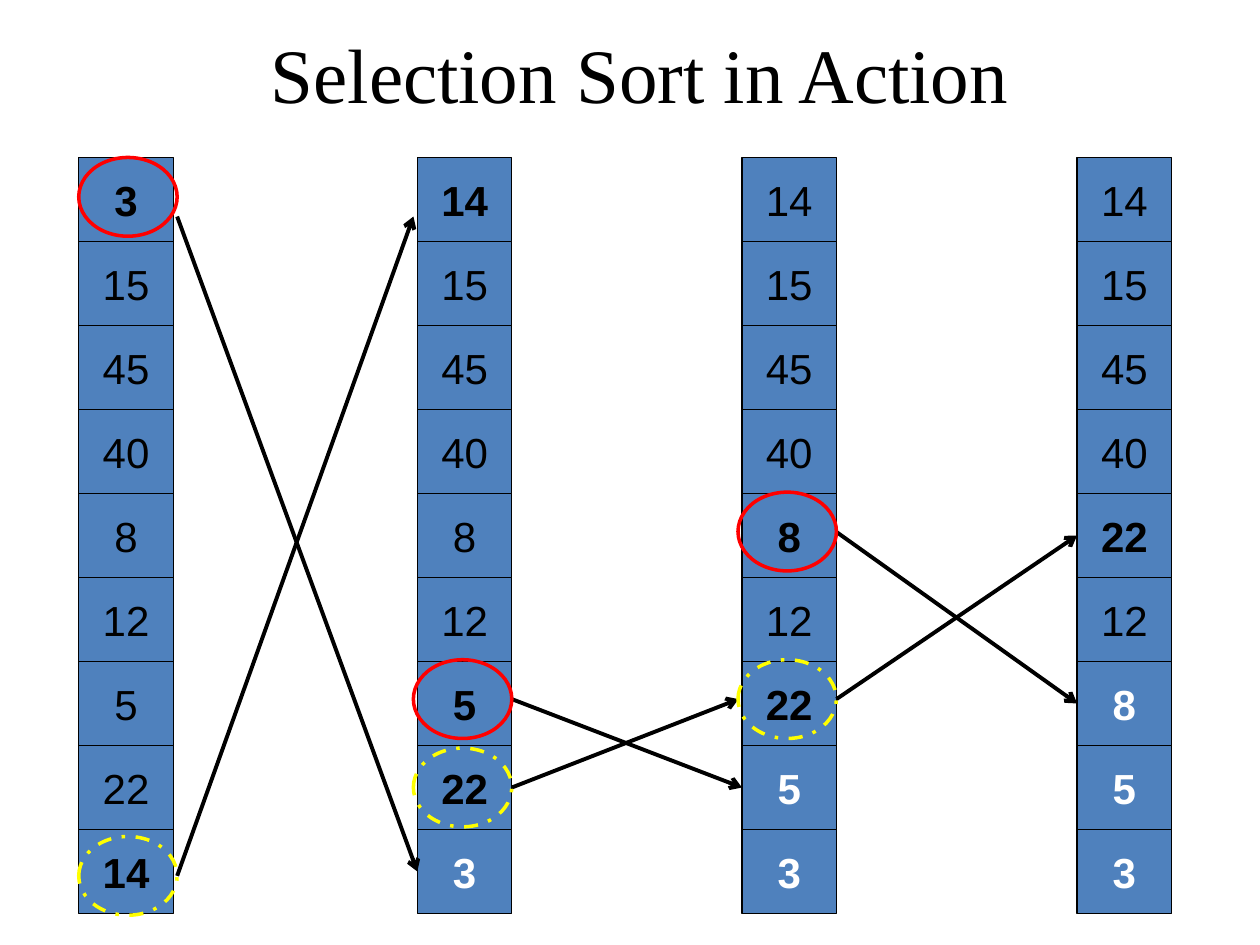
from dataclasses import dataclass

from lxml import etree
from pptx import Presentation
from pptx.dml.color import RGBColor
from pptx.enum.dml import MSO_LINE
from pptx.enum.shapes import MSO_CONNECTOR, MSO_SHAPE
from pptx.enum.text import MSO_ANCHOR, MSO_AUTO_SIZE, PP_ALIGN
from pptx.oxml.ns import qn
from pptx.shapes.autoshape import Shape
from pptx.shapes.shapetree import SlideShapes
from pptx.text.text import Font
from pptx.util import Pt

RECTANGLE, OVAL = MSO_SHAPE.RECTANGLE, MSO_SHAPE.OVAL
STRAIGHT = MSO_CONNECTOR.STRAIGHT
DASH_DOT = MSO_LINE.DASH_DOT
CENTER, MIDDLE = PP_ALIGN.CENTER, MSO_ANCHOR.MIDDLE
FIT_SHAPE = MSO_AUTO_SIZE.SHAPE_TO_FIT_TEXT
LEFT_SIDE, RIGHT_SIDE = 1, 3

CELL_WIDTH, CELL_HEIGHT = 54, 48
ARRAY_TOP = 90
RING_WIDTH, RING_HEIGHT = 56.25, 45


@dataclass(frozen=True)
class Theme:
    black: RGBColor = RGBColor(0x00, 0x00, 0x00)
    white: RGBColor = RGBColor(0xFF, 0xFF, 0xFF)
    cell: RGBColor = RGBColor(0x4F, 0x81, 0xBD)
    largest: RGBColor = RGBColor(0xFF, 0xFF, 0x00)
    swapped: RGBColor = RGBColor(0xFF, 0x00, 0x00)
    title_font: str = "Times New Roman"
    cell_font: str = "Arial"
    title_size: float = 44
    cell_size: float = 24
    cell_line: float = 0.75
    ring_line: float = 2
    arrow_line: float = 2.25


@dataclass(frozen=True)
class ArrayState:
    """One pass: the last sorted_count values are in place."""
    left: float
    values: tuple[int, ...]
    sorted_count: int
    bold_rows: tuple[int, ...]


@dataclass(frozen=True)
class Ring:
    left: float
    top: float
    is_largest: bool


@dataclass(frozen=True)
class Arrow:
    """Points in slide coordinates; cells are (state, row) to join."""
    start: tuple[float, float]
    end: tuple[float, float]
    start_cell: tuple[int, int] | None = None
    end_cell: tuple[int, int] | None = None


THEME = Theme()

STATES = (
    ArrayState(45, (3, 15, 45, 40, 8, 12, 5, 22, 14), 0, (0, 8)),
    ArrayState(238.5, (14, 15, 45, 40, 8, 12, 5, 22, 3), 1, (0, 6, 7)),
    ArrayState(424, (14, 15, 45, 40, 8, 12, 22, 5, 3), 2, (4, 6)),
    ArrayState(615.5, (14, 15, 45, 40, 22, 12, 8, 5, 3), 3, (4,)),
)

ARROWS = (
    Arrow((101.25, 123.75), (238.5, 498), end_cell=(1, 8)),
    Arrow((101.25, 500.5), (236.25, 123.75)),
    Arrow((292.5, 399.5), (424, 450), end_cell=(2, 7)),
    Arrow((292.5, 450), (422, 399.5), start_cell=(1, 7)),
    Arrow((478, 304), (615.5, 402), end_cell=(3, 6)),
    Arrow((478, 399.5), (615.5, 306), end_cell=(3, 4)),
)

RINGS = (
    Ring(45, 90, False),
    Ring(45, 478, True),
    Ring(421.75, 281.25, False),
    Ring(421.75, 377, True),
    Ring(236.25, 377, False),
    Ring(236.25, 427.5, True),
)


def style_font(font: Font, name: str, size: float, color: RGBColor, bold: bool = False) -> None:
    font.name, font.size, font.bold = name, Pt(size), bold
    font.color.rgb = color


def add_title(shapes: SlideShapes, text: str) -> None:
    title = shapes.add_textbox(Pt(39.5), Pt(11.5), Pt(652.5), Pt(60.5))
    text_frame = title.text_frame
    text_frame.word_wrap = True
    text_frame.auto_size = FIT_SHAPE
    text_frame.text = text
    paragraph = text_frame.paragraphs[0]
    paragraph.alignment = CENTER
    paragraph.space_before = Pt(27.5)
    style_font(paragraph.runs[0].font, THEME.title_font, THEME.title_size, THEME.black)


def add_cell(shapes: SlideShapes, state: ArrayState, row: int) -> Shape:
    cell = shapes.add_shape(RECTANGLE, Pt(state.left), Pt(ARRAY_TOP + row * CELL_HEIGHT),
                            Pt(CELL_WIDTH), Pt(CELL_HEIGHT))
    cell.shadow.inherit = False
    cell.fill.solid()
    cell.fill.fore_color.rgb = THEME.cell
    cell.line.color.rgb = THEME.black
    cell.line.width = Pt(THEME.cell_line)
    text_frame = cell.text_frame
    text_frame.word_wrap = False
    text_frame.vertical_anchor = MIDDLE
    text_frame.text = str(state.values[row])
    paragraph = text_frame.paragraphs[0]
    paragraph.alignment = CENTER
    is_sorted = row >= len(state.values) - state.sorted_count
    style_font(paragraph.runs[0].font, THEME.cell_font, THEME.cell_size,
               THEME.white if is_sorted else THEME.black,
               is_sorted or row in state.bold_rows)
    return cell


def add_array(shapes: SlideShapes, state: ArrayState) -> list[Shape]:
    return [add_cell(shapes, state, row) for row in range(len(state.values))]


def add_arrow(shapes: SlideShapes, arrow: Arrow, arrays: list[list[Shape]]) -> None:
    connector = shapes.add_connector(STRAIGHT, *map(Pt, arrow.start + arrow.end))
    if arrow.start_cell:
        state, row = arrow.start_cell
        connector.begin_connect(arrays[state][row], RIGHT_SIDE)
    if arrow.end_cell:
        state, row = arrow.end_cell
        connector.end_connect(arrays[state][row], LEFT_SIDE)
    connector.line.color.rgb = THEME.black
    connector.line.width = Pt(THEME.arrow_line)
    etree.SubElement(connector.line._get_or_add_ln(), qn("a:tailEnd"), type="arrow")
    etree.SubElement(connector._element.spPr, qn("a:effectLst"))


def add_ring(shapes: SlideShapes, ring: Ring) -> None:
    oval = shapes.add_shape(OVAL, Pt(ring.left), Pt(ring.top), Pt(RING_WIDTH), Pt(RING_HEIGHT))
    oval.shadow.inherit = False
    oval.fill.background()
    oval.line.color.rgb = THEME.largest if ring.is_largest else THEME.swapped
    oval.line.width = Pt(THEME.ring_line)
    if ring.is_largest:
        oval.line.dash_style = DASH_DOT


def main() -> None:
    presentation = Presentation()
    presentation.slide_width, presentation.slide_height = Pt(720), Pt(540)
    slide = presentation.slides.add_slide(presentation.slide_layouts[6])
    shapes = slide.shapes
    arrays = [add_array(shapes, state) for state in STATES]
    for arrow in ARROWS:
        add_arrow(shapes, arrow, arrays)
    add_title(shapes, "Selection Sort in Action")
    for ring in RINGS:
        add_ring(shapes, ring)
    presentation.save("out.pptx")


if __name__ == "__main__":
    main()
